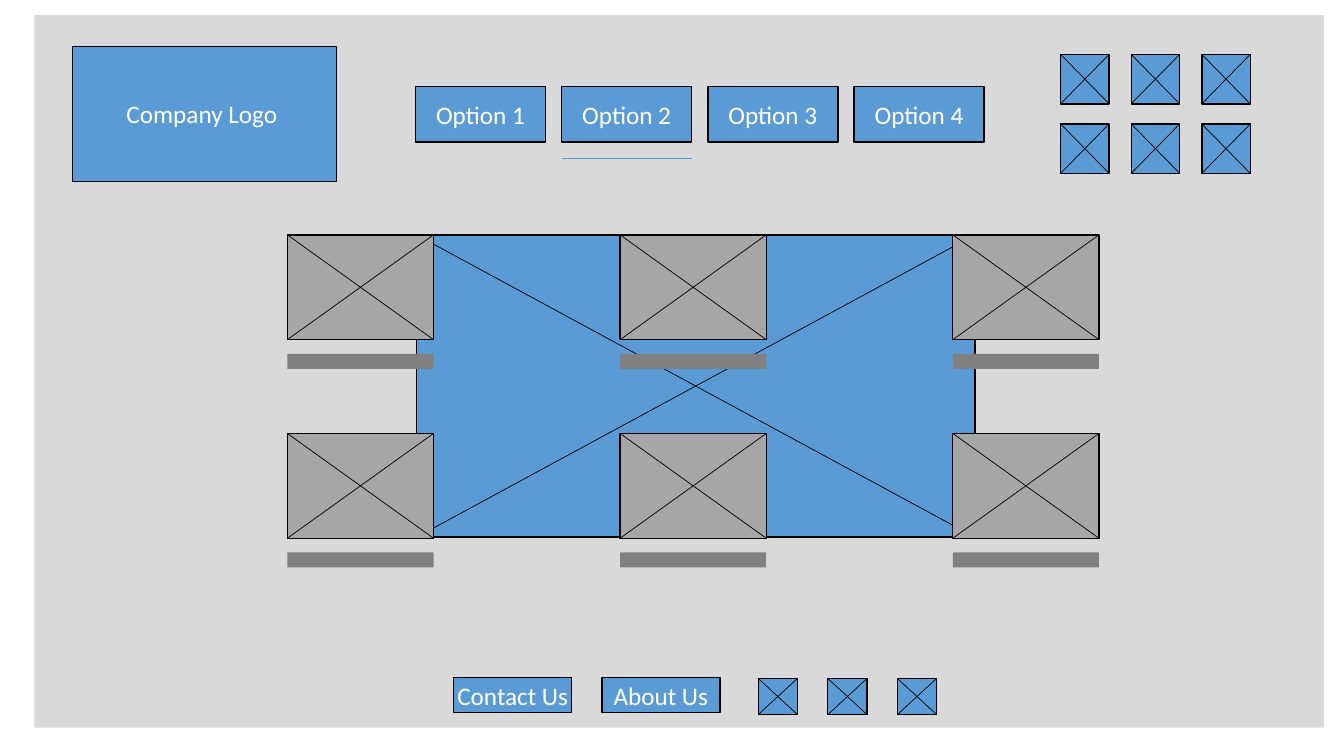
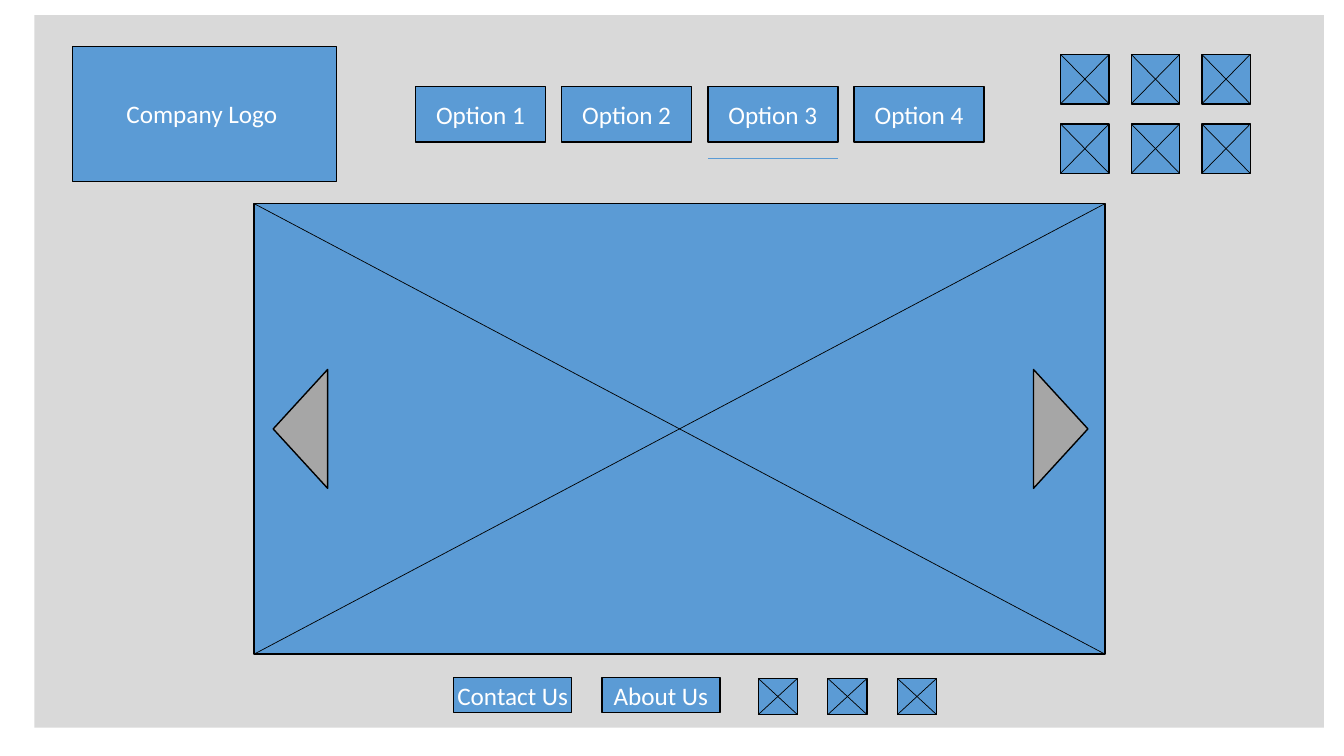
from itertools import product

from lxml import etree
from pptx import Presentation
from pptx.dml.color import RGBColor
from pptx.enum.shapes import MSO_CONNECTOR as CONN, MSO_SHAPE as SHAPE
from pptx.enum.text import MSO_ANCHOR as ANCHOR, PP_ALIGN as ALIGN
from pptx.oxml.ns import qn
from pptx.util import Inches, Pt

COLORS = {
    "page": "D9D9D9",
    "block": "5B9BD5",
    "tile": "A6A6A6",
    "caption": "808080",
    "outline": "000000",
    "text": "FFFFFF",
}
FONT = "Calibri"
OPTIONS = ["Option 1", "Option 2", "Option 3", "Option 4"]
FOOTER_LINKS = ["Contact Us", "About Us"]


def rgb(name):
    return RGBColor.from_string(COLORS[name])


def add_box(s, x, y, w, h, fill="block", outlined=True, kind=SHAPE.RECTANGLE):
    sp = s.shapes.add_shape(kind, Inches(x), Inches(y), Inches(w), Inches(h))
    sp.shadow.inherit = False
    sp.fill.solid()
    sp.fill.fore_color.rgb = rgb(fill)
    if outlined:
        sp.line.color.rgb = rgb("outline")
        sp.line.width = Pt(1)
    else:
        sp.line.fill.background()
    return sp


def add_line(s, x1, y1, x2, y2, color="outline"):
    ln = s.shapes.add_connector(CONN.STRAIGHT, Inches(x1), Inches(y1), Inches(x2), Inches(y2))
    ln.line.color.rgb = rgb(color)
    ln.line.width = Pt(0.5)
    etree.SubElement(ln._element.spPr, qn("a:effectLst"))


def add_label_box(s, x, y, w, h, text, inset=None):
    sp = add_box(s, x, y, w, h)
    tf = sp.text_frame
    tf.word_wrap = True
    tf.vertical_anchor = ANCHOR.MIDDLE
    if inset is not None:
        tf.margin_left = tf.margin_right = Inches(inset)
        tf.margin_top = tf.margin_bottom = Inches(inset)
    p = tf.paragraphs[0]
    p.text = text
    p.alignment = ALIGN.CENTER
    font = p.runs[0].font
    font.name = FONT
    font.size = Pt(18)
    font.color.rgb = rgb("text")


def add_crossed_box(s, x, y, w, h, fill="block"):
    add_box(s, x, y, w, h, fill)
    add_line(s, x, y, x + w, y + h)
    add_line(s, x, y + h, x + w, y)


def add_header(s, x, y, active):
    add_label_box(s, x, y, 2.62, 1.34, "Company Logo ")
    for row, col in product(range(2), range(3)):
        add_crossed_box(s, x + 9.8 + col * 0.7, y + 0.08 + row * 0.69, 0.48, 0.49)
    for i, option in enumerate(OPTIONS):
        left = x + 3.4 + i * 1.45
        add_label_box(s, left, y + 0.4, 1.29, 0.55, option)
        if option == active:
            add_line(s, left, y + 1.11, left + 1.29, y + 1.11, "block")


def add_footer(s, x, y):
    for i, link in enumerate(FOOTER_LINKS):
        add_label_box(s, x + i * 1.47, y, 1.17, 0.35, link, inset=0)
    for i in range(3):
        add_crossed_box(s, x + 3.02 + i * 0.69, y + 0.01, 0.39, 0.36)


def add_gallery(s, x, y):
    tile_w, tile_h = 1.45, 1.04
    add_crossed_box(s, x + 1.28, y, 5.54, 3)
    for row, col in product(range(2), range(3)):
        left, top = x + col * 3.3, y + row * 1.97
        add_crossed_box(s, left, top, tile_w, tile_h, "tile")
        add_box(s, left, top + tile_h + 0.14, tile_w, 0.15, "caption", outlined=False)


def add_carousel(s, x, y, w, h):
    arrow_w, arrow_h = 1.18, 0.54
    add_crossed_box(s, x, y, w, h)
    for center, angle in ((x + 0.46, 270), (x + w - 0.44, 90)):
        arrow = add_box(s, center - arrow_w / 2, y + (h - arrow_h) / 2, arrow_w, arrow_h,
                        "tile", kind=SHAPE.ISOSCELES_TRIANGLE)
        arrow.rotation = angle


def add_page(prs, active):
    s = prs.slides.add_slide(prs.slide_layouts.get_by_name("Blank"))
    add_box(s, 0.34, 0.15, 12.79, 7.07, "page", outlined=False)
    add_header(s, 0.72, 0.46, active)
    add_footer(s, 4.5, 6.72)
    return s


def main():
    prs = Presentation()
    prs.slide_width = Inches(13.33)
    prs.slide_height = Inches(7.5)
    add_gallery(add_page(prs, "Option 2"), 2.85, 2.33)
    add_carousel(add_page(prs, "Option 3"), 2.52, 2.02, 8.44, 4.47)
    prs.save("out.pptx")


if __name__ == "__main__":
    main()
